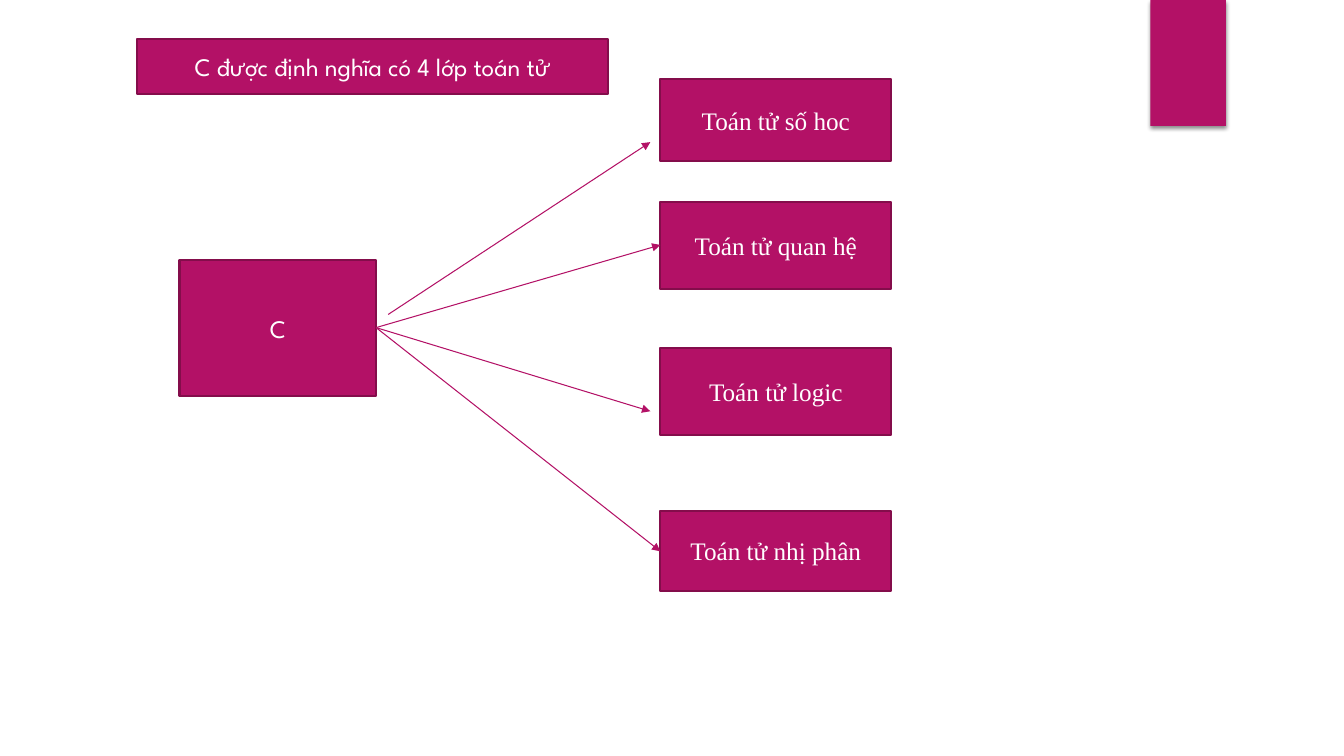
from lxml import etree
from pptx import Presentation
from pptx.dml.color import RGBColor
from pptx.enum.shapes import MSO_CONNECTOR as Connector, MSO_SHAPE as Shape
from pptx.enum.text import MSO_ANCHOR as Anchor, PP_ALIGN as Align
from pptx.oxml.ns import qn
from pptx.util import Inches, Pt

COLORS = {"magenta": "B31166", "border": "840D4B", "white": "FFFFFF", "shadow": "000000"}
HEADING_FONT = "League Spartan"
OPERATOR_FONT = "Times New Roman"


def color(name):
    return RGBColor.from_string(COLORS[name])


def add_box(left, top, width, height, text="", font=HEADING_FONT):
    """Add a magenta rectangle; it has a border only when it holds text."""
    box = slide.shapes.add_shape(
        Shape.RECTANGLE, Inches(left), Inches(top), Inches(width), Inches(height))
    box.shadow.inherit = False
    box.fill.solid()
    box.fill.fore_color.rgb = color("magenta")
    if not text:
        box.line.fill.background()
        return box
    box.line.color.rgb = color("border")
    box.line.width = Pt(1.5)
    box.text_frame.word_wrap = True
    box.text_frame.vertical_anchor = Anchor.MIDDLE
    para = box.text_frame.paragraphs[0]
    para.alignment = Align.CENTER
    span = para.add_run()
    span.text = text
    span.font.name = font
    span.font.size = Pt(18)
    span.font.color.rgb = color("white")
    return box


deck = Presentation()
deck.slide_width = Inches(13.33)
deck.slide_height = Inches(7.5)
slide = deck.slides.add_slide(deck.slide_layouts[6])
slide.background.fill.solid()
slide.background.fill.fore_color.rgb = color("white")

# Corner tab with a soft shadow below it
tab = add_box(11.41, 0, 0.75, 1.25)
effects = tab._element.spPr.find(qn("a:effectLst"))
shadow = etree.SubElement(effects, qn("a:outerShdw"), blurRad=str(Pt(3)),
                          dist=str(Pt(2)), dir="5400000", rotWithShape="0")
shade = etree.SubElement(shadow, qn("a:srgbClr"), val=COLORS["shadow"])
etree.SubElement(shade, qn("a:alpha"), val="45000")

# Language box and its four operator classes
add_box(1.78, 2.58, 1.95, 1.35, "C")
operators = [
    ("Toán tử số hoc", 0.78, 0.82),
    ("Toán tử quan hệ", 2, 0.87),
    ("Toán tử logic", 3.45, 0.87),
    ("Toán tử nhị phân", 5.07, 0.79),
]
for text, top, height in operators:
    add_box(6.55, top, 2.29, height, text, OPERATOR_FONT)

# Arrows from the language to each class
arrows = [
    (3.85, 3.12, 6.45, 1.41),
    (3.73, 3.25, 6.55, 2.43),
    (3.73, 3.25, 6.45, 4.08),
    (3.73, 3.25, 6.55, 5.47),
]
for ends in arrows:
    arrow = slide.shapes.add_connector(Connector.STRAIGHT, *map(Inches, ends))
    arrow.line.color.rgb = color("magenta")
    arrow.line.width = Pt(0.75)
    etree.SubElement(arrow.line._get_or_add_ln(), qn("a:tailEnd"), type="triangle")
    etree.SubElement(arrow._element.spPr, qn("a:effectLst"))

# Title
add_box(1.36, 0.39, 4.67, 0.54, "C được định nghĩa có 4 lớp toán tử")

deck.save("out.pptx")
